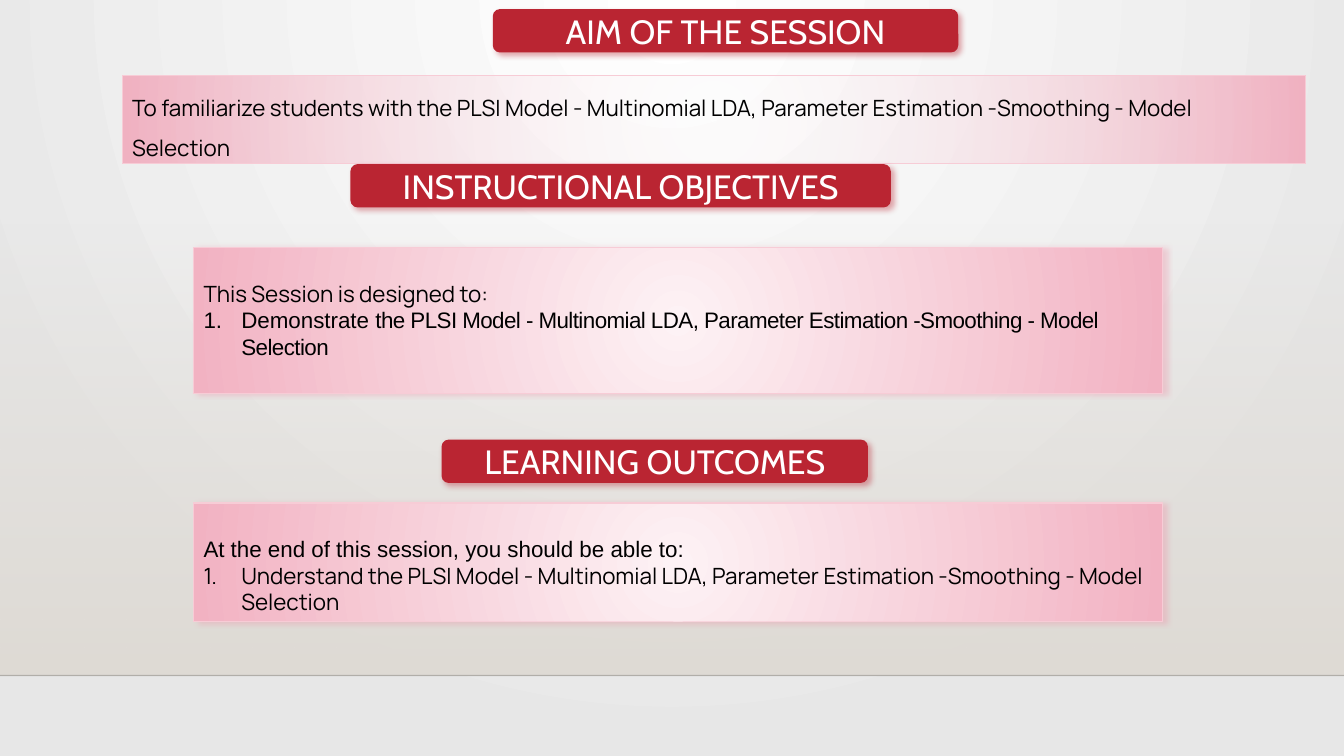
from lxml import etree
from pptx import Presentation
from pptx.dml.color import RGBColor
from pptx.enum import shapes, text
from pptx.oxml.ns import qn
from pptx.util import Pt

COLORS = {
    "white": "FFFFFF", "black": "000000", "edge": "E7E7E7", "floor": "DFDBD5",
    "rule": "000001", "red": "BA2532", "pale": "FDF2F5", "pink": "F2B2C2",
    "border": "F7CCD6", "glow": "EE99AD",
}
TOPIC = "the PLSI Model - Multinomial LDA, Parameter Estimation -Smoothing - Model Selection"
CENTER = (50, 50, 50, 50)


def rgb(name):
    return RGBColor.from_string(COLORS[name])


def add(parent, tag, **attrs):
    return etree.SubElement(parent, qn(tag), {k: str(v) for k, v in attrs.items()})


def add_color(parent, name, alpha=100):
    color = add(parent, "a:srgbClr", val=COLORS[name])
    if alpha < 100:
        add(color, "a:alpha", val=alpha * 1000)


def set_gradient(fill, element, start, end, start_alpha=100, focus=None):
    """Circular gradient around focus (left, top, right, bottom %), else downwards."""
    fill.gradient()
    grad = element.find(".//" + qn("a:gradFill"))
    for child in list(grad):
        grad.remove(child)
    stops = add(grad, "a:gsLst")
    add_color(add(stops, "a:gs", pos=0), start, start_alpha)
    add_color(add(stops, "a:gs", pos=100000), end)
    if focus:
        sides = {side: pct * 1000 for side, pct in zip("ltrb", focus)}
        add(add(grad, "a:path", path="circle"), "a:fillToRect", **sides)
    else:
        add(grad, "a:lin", ang=90 * 60000, scaled=0)


def add_shadow(sp, color, angle):
    effects = sp.element.spPr.find(qn("a:effectLst"))
    shadow = add(effects, "a:outerShdw", blurRad=Pt(4), dist=Pt(3),
                 dir=angle * 60000, algn="tl", rotWithShape=0)
    add_color(shadow, color, 40)


def add_box(s, kind, left, top, width, height):
    sp = s.shapes.add_shape(kind, Pt(left), Pt(top), Pt(width), Pt(height))
    sp.shadow.inherit = False
    sp.line.fill.background()
    sp.text_frame.word_wrap = True
    return sp


def add_run(p, words, font, size, color):
    r = p.add_run()
    r.text = words
    r.font.name, r.font.size = font, Pt(size)
    r.font.color.rgb = rgb(color)
    return r


def add_heading(s, title, left, top, width):
    sp = add_box(s, shapes.MSO_SHAPE.ROUNDED_RECTANGLE, left, top, width, 31)
    sp.fill.solid()
    sp.fill.fore_color.rgb = rgb("red")
    add_shadow(sp, "red", 45)
    sp.text_frame.vertical_anchor = text.MSO_ANCHOR.MIDDLE
    p = sp.text_frame.paragraphs[0]
    p.alignment = text.PP_ALIGN.CENTER
    add_run(p, title, "Cabin", 24, "white")


def add_panel(s, intro, font, spacing, left, top, width, height, alpha=100):
    """Pink panel that opens with one paragraph; returns the shape."""
    sp = add_box(s, shapes.MSO_SHAPE.RECTANGLE, left, top, width, height)
    set_gradient(sp.fill, sp.element, "pale", "pink", alpha, CENTER)
    sp.line.color.rgb = rgb("border")
    sp.line.width = Pt(0.75)
    tf = sp.text_frame
    tf.auto_size = text.MSO_AUTO_SIZE.SHAPE_TO_FIT_TEXT
    tf.vertical_anchor = text.MSO_ANCHOR.TOP
    p = tf.paragraphs[0]
    p.alignment = text.PP_ALIGN.LEFT
    p.line_spacing = spacing
    add_run(p, intro, font, 16, "black")
    return sp


def add_numbered(sp, runs):
    """Numbered paragraph from (words, font, tracking in points) runs."""
    p = sp.text_frame.add_paragraph()
    p.alignment = text.PP_ALIGN.LEFT
    pPr = p._p.get_or_add_pPr()
    pPr.set("marL", str(Pt(27)))
    pPr.set("indent", str(-Pt(27)))
    add(pPr, "a:buFont", typeface="+mj-lt")
    add(pPr, "a:buAutoNum", type="arabicPeriod")
    for words, font, tracking in runs:
        r = add_run(p, words, font, 16, "black")
        if tracking:
            r.font._element.set("spc", str(round(tracking * 100)))


def add_backdrop(s):
    set_gradient(s.background.fill, s.element, "white", "edge", focus=(43, 0, 43, 100))
    floor = add_box(s, shapes.MSO_SHAPE.RECTANGLE, 0, 159, 960, 323.5)
    set_gradient(floor.fill, floor.element, "floor", "floor", 0)
    rule = s.shapes.add_connector(shapes.MSO_CONNECTOR.STRAIGHT,
                                  Pt(0), Pt(482.5), Pt(960), Pt(482.5))
    rule.line.width = Pt(1)
    rule.line.color.rgb = rgb("rule")
    add(rule.line.color._xFill.find(qn("a:srgbClr")), "a:alpha", val=20000) \
        if hasattr(rule.line.color, "_xFill") else \
        add(rule.element.find(".//" + qn("a:srgbClr")), "a:alpha", val=20000)
    add(rule.element.spPr, "a:effectLst")


def main():
    prs = Presentation()
    prs.slide_width, prs.slide_height = Pt(960), Pt(540)
    s = prs.slides.add_slide(prs.slide_layouts[6])
    add_backdrop(s)

    add_heading(s, "AIM OF THE SESSION", 352, 6.5, 332.5)
    add_panel(s, "To familiarize students with " + TOPIC, "Manrope", 1.5,
              87.3, 54, 845, 62.6, alpha=0)

    add_heading(s, "INSTRUCTIONAL OBJECTIVES", 250.3, 117.2, 386)
    objectives = add_panel(s, "This Session is designed to:", "Manrope", 2,
                           138.3, 177, 692, 104.4)
    add_numbered(objectives, [("Demonstrate ", "Arial", 0), (TOPIC, "Arial", -0.4)])

    add_heading(s, "LEARNING OUTCOMES", 315.4, 314, 304.6)
    outcomes = add_panel(s, "At the end of this session, you should be able to:",
                         "Arial", 2, 138.3, 359.3, 692, 85)
    add_numbered(outcomes, [("Understand " + TOPIC, "Manrope", 0)])

    for sp in (objectives, outcomes):
        add_shadow(sp, "glow", 0)
    prs.save("out.pptx")


if __name__ == "__main__":
    main()
